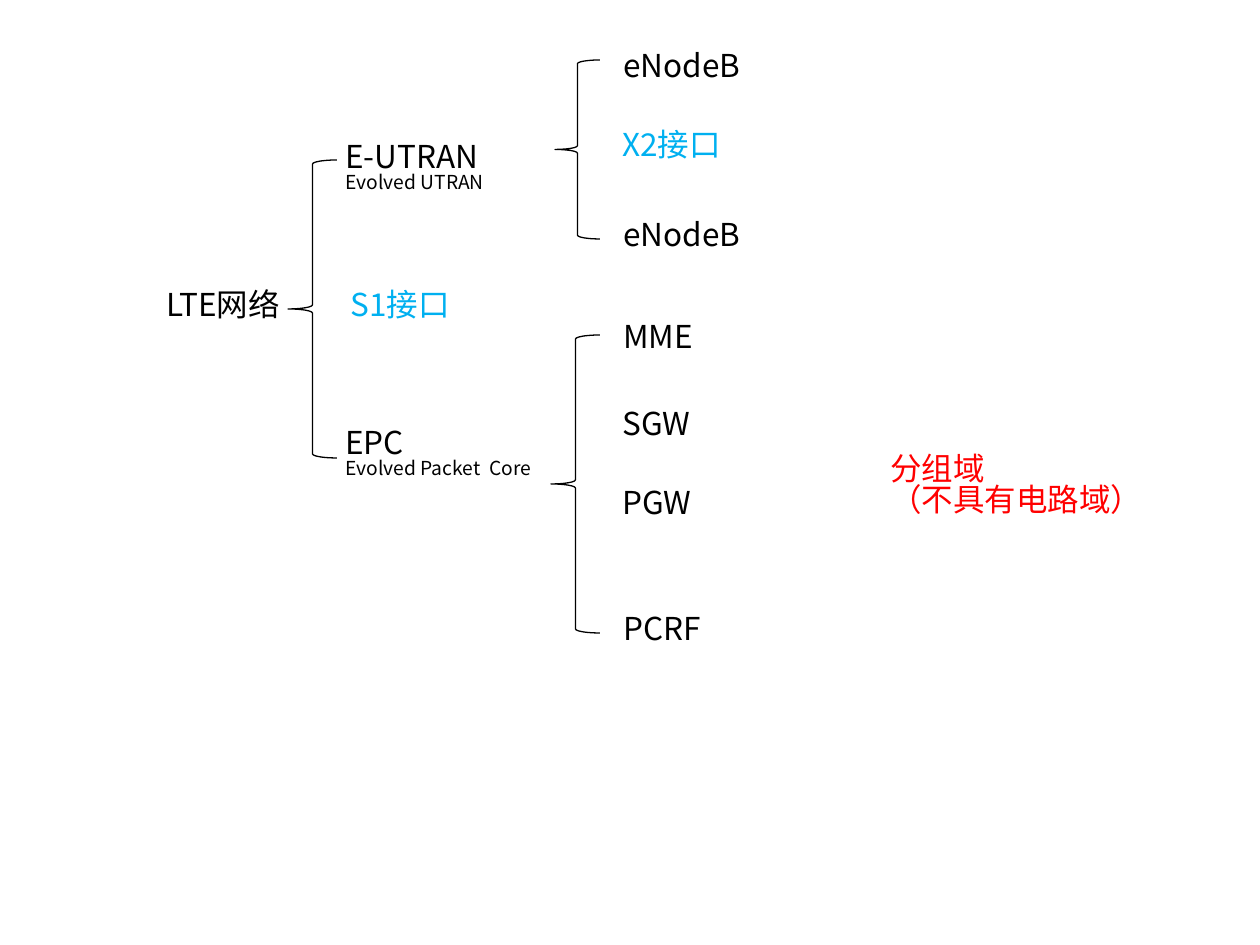
from lxml import etree
from pptx import Presentation
from pptx.dml.color import RGBColor
from pptx.enum.shapes import MSO_SHAPE
from pptx.oxml.ns import qn
from pptx.util import Emu, Pt

BLACK = RGBColor(0x00, 0x00, 0x00)
BLUE = RGBColor(0x00, 0xB0, 0xF0)
RED = RGBColor(0xFF, 0x00, 0x00)
FONT = "Noto Sans CJK SC"
MAIN, SMALL = 18, 11
LINE_SPACING = 0.81
LABEL_WIDTH, ONE_LINE, TWO_LINES = 179, 50, 74
BLANK_LAYOUT = 6

# Single-line labels: text, left, top, colour (px)
LABELS = [
    ("LTE网络", 154, 283, BLACK),
    ("S1接口", 338, 283, BLUE),
    ("eNodeB", 611, 44, BLACK),
    ("X2接口", 610, 123, BLUE),
    ("eNodeB", 611, 213, BLACK),
    ("MME", 611, 315, BLACK),
    ("SGW", 610, 402, BLACK),
    ("PGW", 610, 481, BLACK),
    ("PCRF", 611, 607, BLACK),
]

# Subsystems: abbreviation, full name, top, width (px)
SUBSYSTEMS = [
    ("E-UTRAN", "Evolved UTRAN", 135, 179),
    ("EPC", "Evolved Packet  Core", 421, 247),
]
SUBSYSTEM_LEFT = 333

DOMAIN_NOTE = ["分组域", "（不具有电路域）"]

# Braces: left, top, width, height (px)
BRACES = [
    (288, 160, 49, 298),
    (555, 60, 45, 179),
    (551, 335, 49, 298),
]


def px(length):
    return Emu(round(length * 914400 / 126))


def add_label(slide, lines, left, top, width, height, colour):
    """Add a text box; lines holds (text, point size) pairs."""
    frame = slide.shapes.add_textbox(px(left), px(top), px(width), px(height)).text_frame
    frame.word_wrap = True
    frame.margin_top = px(9)
    frame.text = "\n".join(text for text, _ in lines)
    for paragraph, (_, size) in zip(frame.paragraphs, lines):
        paragraph.line_spacing = LINE_SPACING
        font = paragraph.runs[0].font
        font.size = Pt(size)
        font.color.rgb = colour
        font.name = FONT
        # East Asian typeface
        etree.SubElement(font._element, qn("a:ea")).set("typeface", FONT)


def add_brace(slide, left, top, width, height):
    brace = slide.shapes.add_shape(
        MSO_SHAPE.LEFT_BRACE, px(left), px(top), px(width), px(height))
    brace.shadow.inherit = False
    brace.fill.background()
    brace.line.color.rgb = BLACK
    brace.line.width = Pt(0.75)


def main():
    presentation = Presentation()
    presentation.slide_width, presentation.slide_height = px(1260), px(945)
    slide = presentation.slides.add_slide(presentation.slide_layouts[BLANK_LAYOUT])

    # Tree branches
    for brace in BRACES:
        add_brace(slide, *brace)

    # Network, interfaces and elements
    for text, left, top, colour in LABELS:
        add_label(slide, [(text, MAIN)], left, top, LABEL_WIDTH, ONE_LINE, colour)

    # Subsystems with their full names
    for short, full, top, width in SUBSYSTEMS:
        add_label(slide, [(short, MAIN), (full, SMALL)],
                  SUBSYSTEM_LEFT, top, width, TWO_LINES, BLACK)

    # Remark on the core network
    add_label(slide, [(text, MAIN) for text in DOMAIN_NOTE], 878, 447, 382, 88, RED)

    presentation.save("out.pptx")


if __name__ == "__main__":
    main()
